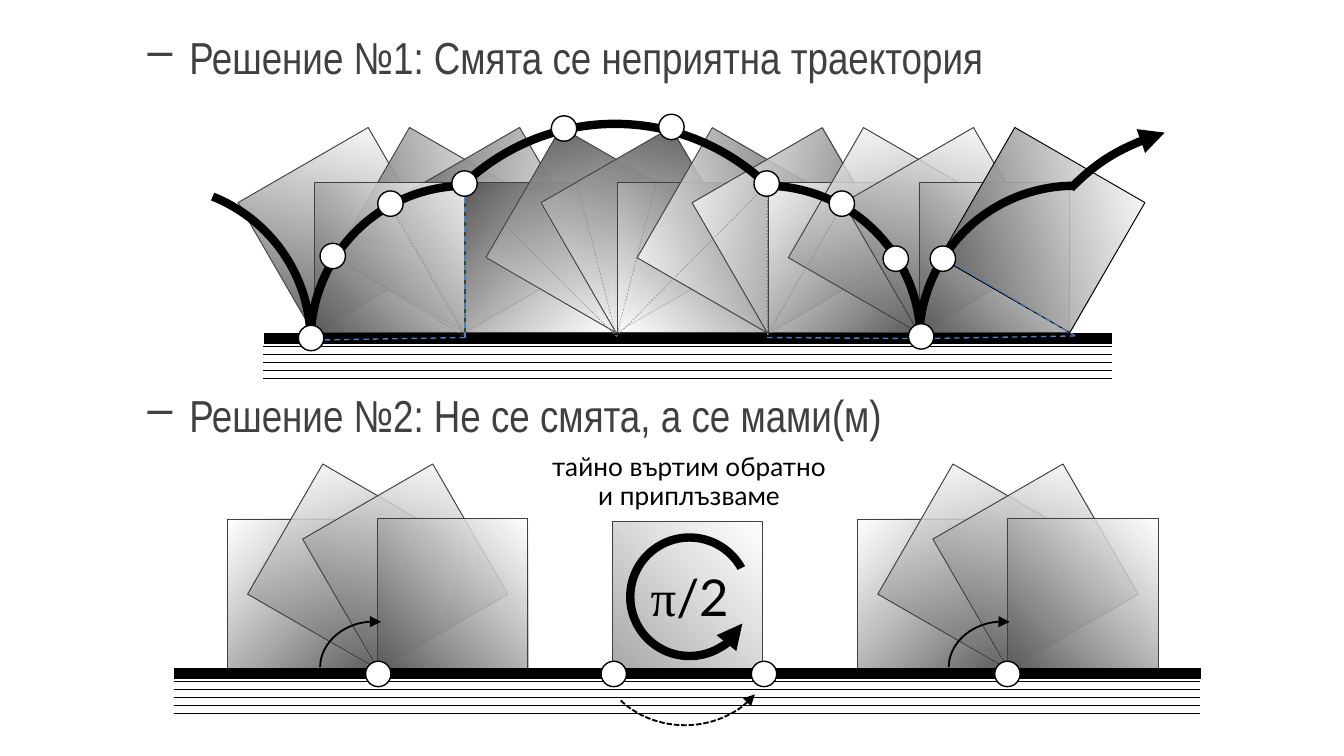
from math import cos, radians, sin, sqrt

from lxml import etree
from pptx import Presentation
from pptx import util as u
from pptx.dml.color import RGBColor
from pptx.enum import dml, shapes, text
from pptx.oxml import ns

Cm, Pt = u.Cm, u.Pt
COLORS = {
    "white": "FFFFFF",
    "black": "000000",
    "heading": "404040",
    "edge": "404040",
    "dark": "595959",
    "light": "A6A6A6",
    "gray": "808080",
    "blue": "4B7EBC",
}
COLORS = {name: RGBColor.from_string(value) for name, value in COLORS.items()}


def write_text(paragraph, content, size, font, color="black", align=None, before=0, spacing=None):
    paragraph.alignment = align
    paragraph.space_before = Pt(before)
    paragraph.line_spacing = spacing
    for index, part in enumerate(content.split("\n")):
        if index:
            paragraph.add_line_break()
        run = paragraph.add_run()
        run.text = part
        run.font.size = Pt(size)
        run.font.name = font
        run.font.color.rgb = COLORS[color]


def add_shape(kind, left, top, width, height, line="black", weight=0.75, turn=0, arrow=None, adjust=()):
    shape = slide.shapes.add_shape(kind, Cm(left), Cm(top), Cm(width), Cm(height))
    shape.shadow.inherit = False
    shape.rotation = turn
    shape.fill.background()
    shape.line.color.rgb = COLORS[line]
    shape.line.width = Pt(weight)
    for index, value in enumerate(adjust):
        shape.adjustments[index] = value
    if arrow:
        outline = shape.element.spPr.find(ns.qn("a:ln"))
        etree.SubElement(outline, ns.qn(f"a:{arrow}End"), type="triangle")
    return shape


presentation = Presentation()
presentation.slide_width = Cm(25.4)
presentation.slide_height = Cm(14.29)
slide = presentation.slides.add_slide(presentation.slide_layouts[6])
ARC = shapes.MSO_SHAPE.ARC

box = slide.shapes.add_textbox(Cm(1.27), Cm(0.43), Cm(24.13), Cm(13.1))
box.text_frame.word_wrap = True
headings = [
    ("Решение №1: Смята се неприятна траектория", 0),
    ("Решение №2: Не се смята, а се мами(м)", 163),
]
for index, (heading, before) in enumerate(headings):
    paragraph = box.text_frame.add_paragraph() if index else box.text_frame.paragraphs[0]
    properties = paragraph._p.get_or_add_pPr()
    properties.set("marL", str(Cm(2.06)))
    properties.set("indent", str(Cm(-0.79)))
    etree.SubElement(properties, ns.qn("a:buChar"), char="–")
    write_text(paragraph, heading, 24, "Arial Narrow", "heading", before=before)

SIDE = 2.84
RADIUS = SIDE / sqrt(2)
squares = []
for turn in [-30, *range(30, 420, 30), 0]:
    pivot = 8.78 + 2.86 * (turn // 90)
    edge = "black" if turn == 390 else "edge"
    squares.append((pivot, 6.29, turn % 90, turn, "dark", 225, edge))
for pivot in (7.14, 19.05):
    for phase in range(0, 120, 30):
        squares.append((pivot, 12.65, phase, phase + 270, "dark", 225, "edge"))
squares.append((14.42, 12.7, 0, 270, "light", 135, "edge"))

for pivot, base, phase, turn, shade, angle, edge in squares:
    direction = radians(135 - phase)
    left = pivot + RADIUS * cos(direction) - SIDE / 2
    top = base - RADIUS * sin(direction) - SIDE / 2
    square = add_shape(shapes.MSO_SHAPE.RECTANGLE, left, top, SIDE, SIDE, edge, 0.5, turn % 360)
    square.fill.gradient()
    square.fill.gradient_angle = angle
    for stop, color in zip(square.fill.gradient_stops, ("white", shade)):
        stop.color.rgb = COLORS[color]
    first_color = next(square.element.spPr.iter(ns.qn("a:srgbClr")))
    etree.SubElement(first_color, ns.qn("a:alpha"), val="80000")

label = slide.shapes.add_textbox(Cm(11.84), Cm(10.57), Cm(2.39), Cm(1.27))
label.text_frame.word_wrap = True
for content, font in (("π", "Times New Roman"), ("/2", "Lato")):
    write_text(label.text_frame.paragraphs[0], content, 27.2, font, align=text.PP_ALIGN.CENTER)

caption = slide.shapes.add_textbox(Cm(9.53), Cm(8.41), Cm(6.99), Cm(2.84))
caption.text_frame.word_wrap = True
write_text(caption.text_frame.paragraphs[0], "тайно въртим обратно\nи приплъзваме", 14, "Lato",
           align=text.PP_ALIGN.CENTER, spacing=Pt(16))

for left, top, width in ((3.28, 12.73, 19.41), (4.98, 6.4, 16.03)):
    ground = slide.shapes.add_group_shape()
    soil = ground.shapes.add_shape(shapes.MSO_SHAPE.RECTANGLE, Cm(left), Cm(top), Cm(width), Cm(0.79))
    soil.shadow.inherit = False
    soil.line.fill.background()
    soil.fill.patterned()
    soil.fill.pattern = dml.MSO_PATTERN.DASHED_HORIZONTAL
    soil.fill.fore_color.rgb = COLORS["black"]
    soil.fill.back_color.rgb = COLORS["white"]
    surface = ground.shapes.add_connector(
        shapes.MSO_CONNECTOR.STRAIGHT, Cm(left), Cm(top), Cm(left + width), Cm(top))
    surface.line.color.rgb = COLORS["black"]
    surface.line.width = Pt(6)
    etree.SubElement(surface.element.spPr, ns.qn("a:effectLst"))

trajectory = [
    (0, 3.51, 5.87, 0, (175.02, 0), None),
    (5.87, 3.51, 5.87, 270, (162, 0), None),
    (7.47, 2.34, 8.31, 315, (162, 0), None),
    (11.53, 3.51, 5.87, 0, (162, 0), None),
    (17.37, 3.51, 5.87, 270, (162, 0), None),
    (19.02, 2.34, 8.31, 315, (162, 179.25), "tail"),
    (11.91, 10.16, 2.24, 180, (124.1, 90.61), "head"),
]
for left, top, size, turn, adjust, arrow in trajectory:
    add_shape(ARC, left, top, size, size, weight=4.5, turn=turn, arrow=arrow, adjust=adjust)

for left in (6.05, 17.93):
    add_shape(ARC, left, 11.75, 2.06, 1.75, weight=1, arrow="tail", adjust=(108.47, 166.8))

slip = add_shape(ARC, 11.28, 10.74, 3.33, 2.97, weight=1, adjust=(20.57, 84.62), arrow="head")
slip.line.dash_style = dml.MSO_LINE.SQUARE_DOT

guides = [
    ("gray", 0.25, 8.79, 6.36, [(7.34, 3.84), (6.3, 4.85)]),
    ("gray", 0.25, 11.65, 6.36, [(8.81, 3.51), (10.64, 2.44), (12.67, 2.41), (14.5, 3.48)]),
    ("gray", 0.25, 14.5, 6.33, [(14.5, 3.53), (15.93, 3.86), (16.94, 4.9)]),
    ("blue", 0.75, 8.79, 6.38, [(8.79, 3.43), (5.87, 6.43)]),
    ("blue", 0.75, 14.5, 6.38, [(17.42, 6.4)]),
    ("blue", 0.75, 20.32, 6.35, [(17.86, 4.88), (17.45, 6.4)]),
]
for color, weight, x, y, ends in guides:
    for end_x, end_y in ends:
        guide = slide.shapes.add_connector(
            shapes.MSO_CONNECTOR.STRAIGHT, Cm(x), Cm(y), Cm(end_x), Cm(end_y))
        guide.line.color.rgb = COLORS[color]
        guide.line.width = Pt(weight)
        guide.line.dash_style = dml.MSO_LINE.DASH
        etree.SubElement(guide.element.spPr, ns.qn("a:effectLst"))

DOT = 0.48
dots = [
    (7.15, 12.74), (11.6, 12.74), (14.44, 12.74), (19.04, 12.74),
    (5.88, 6.39), (6.29, 4.84), (7.38, 3.85), (8.78, 3.47), (10.66, 2.43), (12.69, 2.4),
    (14.49, 3.47), (15.91, 3.85), (16.93, 4.89), (17.82, 4.89), (17.41, 6.36),
]
for x, y in dots:
    dot = add_shape(shapes.MSO_SHAPE.OVAL, x - DOT / 2, y - DOT / 2, DOT, DOT)
    dot.fill.solid()
    dot.fill.fore_color.rgb = COLORS["white"]

presentation.save("out.pptx")
